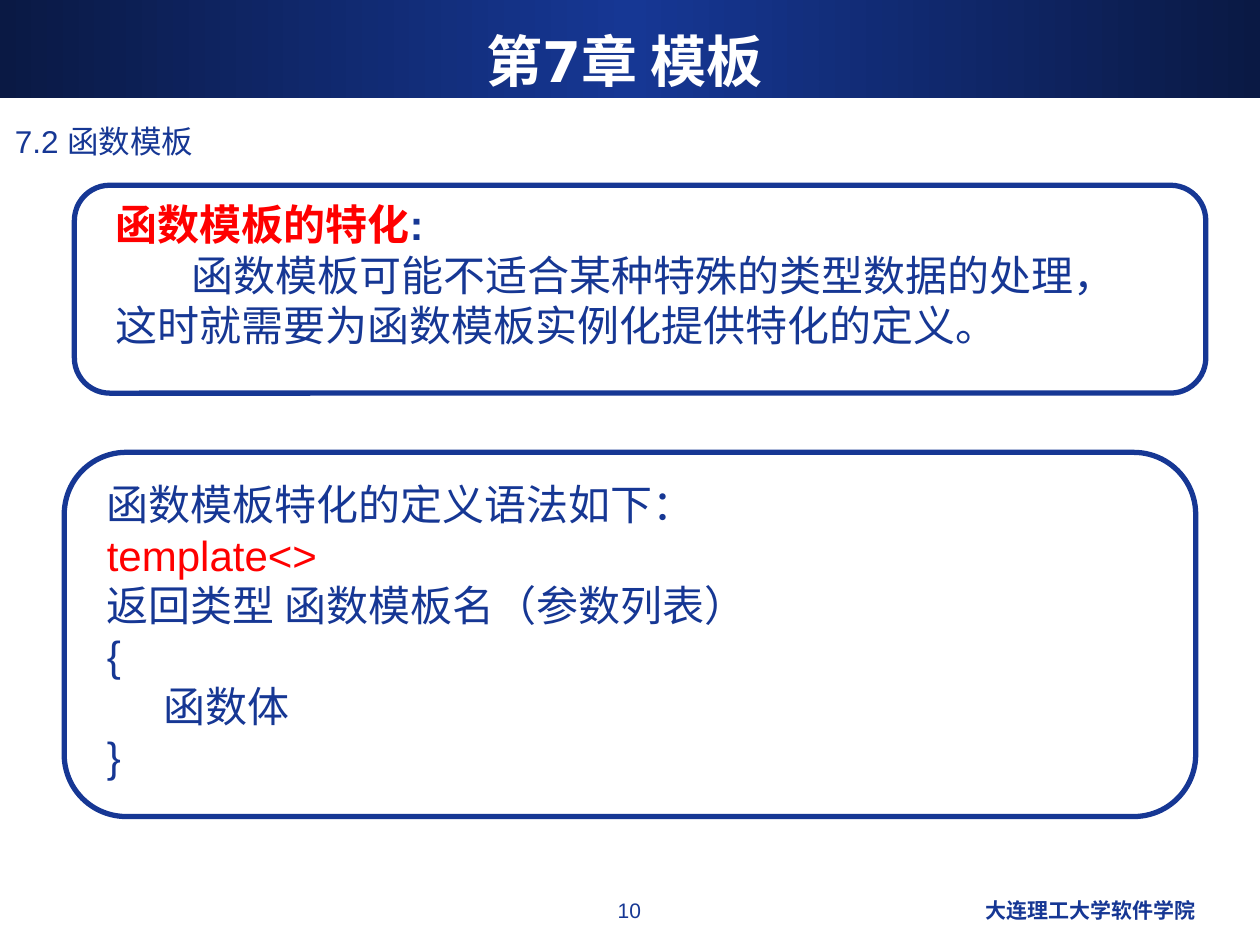
from copy import deepcopy
from dataclasses import dataclass

from pptx import Presentation
from pptx.dml.color import RGBColor as Rgb
from pptx.enum.shapes import MSO_SHAPE as Shape
from pptx.enum.text import MSO_ANCHOR as Anchor, PP_ALIGN as Align
from pptx.oxml.ns import qn
from pptx.util import Inches, Pt

HUES = {"blue": "163794", "dark": "0A1944", "red": "FF0000", "white": "FFFFFF"}


@dataclass
class Run:
    text: str
    hue: str = "blue"
    bold: bool = False


@dataclass
class Line:
    runs: list[Run]
    indent: float = 0


@dataclass
class Panel:
    frame: tuple[float, ...]
    area: tuple[float, ...]
    lines: list[Line]


def tint(name: str) -> Rgb:
    return Rgb.from_string(HUES[name])


def add_text(shapes, area: tuple[float, ...], lines: list[Line], size: int = 24,
             font: str = "Arial", align=Align.LEFT, anchor=Anchor.TOP) -> None:
    frame = shapes.add_textbox(*map(Inches, area)).text_frame
    frame.word_wrap = True
    frame.vertical_anchor = anchor
    for i, line in enumerate(lines):
        para = frame.add_paragraph() if i else frame.paragraphs[0]
        para.alignment = align
        if line.indent:
            para._p.get_or_add_pPr().set("indent", str(Inches(line.indent)))
        for part in line.runs:
            run = para.add_run()
            run.text = part.text
            run.font.size = Pt(size)
            run.font.name = font
            run.font.bold = part.bold
            run.font.color.rgb = tint(part.hue)


def add_band(shapes) -> None:
    band = shapes.add_shape(Shape.RECTANGLE, 0, 0, Inches(10), Inches(0.78))
    band.shadow.inherit = False
    band.line.fill.background()
    band.fill.gradient()
    band.fill.gradient_angle = 0
    stops = band._element.spPr.find(".//" + qn("a:gsLst"))
    stops.insert(1, deepcopy(stops[0]))
    for i, (stop, hue) in enumerate(zip(band.fill.gradient_stops, ("dark", "blue", "dark"))):
        stop.position = i / 2
        stop.color.rgb = tint(hue)


def add_panel(shapes, panel: Panel) -> None:
    group = shapes.add_group_shape().shapes
    box = group.add_shape(Shape.ROUNDED_RECTANGLE, *map(Inches, panel.frame))
    box.adjustments[0] = 0.17
    box.shadow.inherit = False
    box.fill.background()
    box.line.color.rgb = tint("blue")
    box.line.width = Pt(3)
    add_text(group, panel.area, panel.lines)


PANELS = [
    Panel((0.59, 1.47, 8.98, 1.65), (0.82, 1.53, 8.36, 1.3), [
        Line([Run("函数模板的特化", "red", True), Run(":", bold=True)]),
        Line([Run("函数模板可能不适合某种特殊的类型数据的处理，"
                  "这时就需要为函数模板实例化提供特化的定义。")], 0.6),
    ]),
    Panel((0.51, 3.59, 8.98, 2.89), (0.75, 3.75, 8.36, 3.3), [
        Line([Run("函数模板特化的定义语法如下：")]),
        Line([Run("template<>", "red")]),
        Line([Run("返回类型 函数模板名（参数列表）")]),
        Line([Run("{")]),
        Line([Run("函数体")], 0.45),
        Line([Run("}")]),
    ]),
]


def main() -> None:
    deck = Presentation()
    deck.slide_width, deck.slide_height = Inches(10), Inches(7.5)
    shapes = deck.slides.add_slide(deck.slide_layouts[6]).shapes
    add_band(shapes)
    add_text(shapes, (3.83, 7.07, 2.33, 0.35), [Line([Run("10")])],
             size=12, align=Align.CENTER)
    add_text(shapes, (6.42, 7.07, 3.17, 0.35),
             [Line([Run("大连理工大学软件学院", bold=True)])], size=12, align=Align.RIGHT)
    add_text(shapes, (0.02, 0.92, 9.25, 0.41), [Line([Run("7.2 函数模板")])], size=18)
    add_text(shapes, (0.33, 0.17, 9.25, 0.62), [Line([Run("第7章 模板", "white", True)])],
             size=32, font="DejaVu Sans", align=Align.CENTER, anchor=Anchor.MIDDLE)
    for panel in PANELS:
        add_panel(shapes, panel)
    deck.save("out.pptx")


if __name__ == "__main__":
    main()
